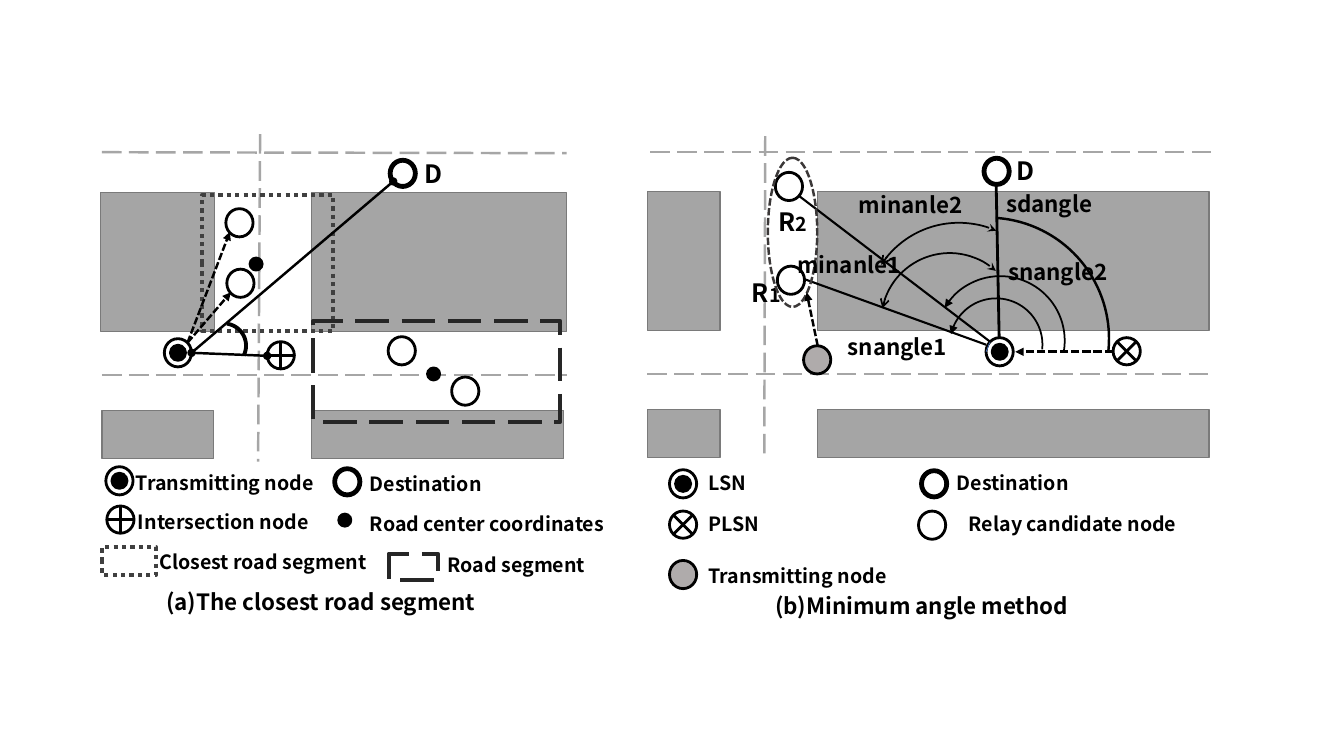
from pptx import Presentation
from pptx.dml.color import RGBColor
from pptx.enum.dml import MSO_LINE
from pptx.enum.shapes import MSO_CONNECTOR, MSO_SHAPE
from pptx.enum.text import MSO_AUTO_SIZE
from pptx.oxml.ns import qn
from pptx.util import Cm, Pt
from lxml import etree

RECT = MSO_SHAPE.RECTANGLE
OVAL = MSO_SHAPE.OVAL
ARC = MSO_SHAPE.ARC
PLUS = MSO_SHAPE.FLOWCHART_OR
CROSS = MSO_SHAPE.FLOWCHART_SUMMING_JUNCTION
LINE = MSO_CONNECTOR.STRAIGHT
LONG = MSO_LINE.LONG_DASH
SHORT = MSO_LINE.SQUARE_DOT
DOTS = MSO_LINE.ROUND_DOT
FIT = MSO_AUTO_SIZE.SHAPE_TO_FIT_TEXT

FONT = "Noto Sans CJK JP"
BLACK, WHITE, GREY = "000000", "FFFFFF", "AFABAB"
WIDE, HIGH = 0.27, 0.28


def inch(value):
    return Cm(value * 2.54)


def paint(code):
    return RGBColor.from_string(code)


def stroke(item, color, width, dash=None, head=None, tail=None):
    item.line.color.rgb = paint(color)
    item.line.width = Pt(width)
    if dash:
        item.line.dash_style = dash
    ln = item.element.spPr.find(qn("a:ln"))
    for tag, kind in (("a:headEnd", head), ("a:tailEnd", tail)):
        if kind:
            etree.SubElement(ln, qn(tag)).set("type", kind)


def shape(slide, kind, box, fill=None, color=BLACK, width=2, turn=0, **ends):
    item = slide.shapes.add_shape(kind, *map(inch, box))
    item.shadow.inherit = False
    item.rotation = turn
    if fill:
        item.fill.solid()
        item.fill.fore_color.rgb = paint(fill)
    else:
        item.fill.background()
    stroke(item, color, width, **ends)
    return item


def line(slide, start, end, color=BLACK, width=1.75, **ends):
    item = slide.shapes.add_connector(LINE, *map(inch, start + end))
    stroke(item, color, width, **ends)
    etree.SubElement(item.element.spPr, qn("a:effectLst"))


def arc(slide, x, y, size, first, last, width=1.25, turn=0, **ends):
    item = shape(slide, ARC, (x, y, size, size), width=width, turn=turn, **ends)
    item.adjustments[0] = first
    item.adjustments[1] = last


def text(slide, x, y, w, h, *runs):
    frame = slide.shapes.add_textbox(*map(inch, (x, y, w, h))).text_frame
    frame.word_wrap = True
    frame.auto_size = FIT
    for words, size in runs:
        run = frame.paragraphs[0].add_run()
        run.text = words
        run.font.size = Pt(size)
        run.font.name = FONT
        run.font.bold = True
        run.font.color.rgb = paint(BLACK)


def ring(slide, x, y, fill=WHITE):
    shape(slide, OVAL, (x, y, WIDE, HIGH), fill)


def source(slide, x, y):
    ring(slide, x, y)
    shape(slide, OVAL, (x + 0.06, y + 0.065, 0.15, 0.15), BLACK)


def goal(slide, x, y):
    ring(slide, x, y, BLACK)
    shape(slide, OVAL, (x + 0.02, y + 0.02, 0.23, 0.24), WHITE)


def mark(slide, kind, x, y):
    shape(slide, kind, (x, y, WIDE, WIDE), WHITE)


def spot(slide, x, y):
    shape(slide, OVAL, (x, y, 0.12, 0.12), BLACK)


def streets(slide, blocks, lanes):
    for box in blocks:
        shape(slide, RECT, box, "A5A5A5", "7A7A7A", 1)
    for start, end in lanes:
        line(slide, start, end, "A6A6A6", dash=LONG)


def labels(slide, size, high, items):
    for words, x, y, w in items:
        text(slide, x, y, w, high, (words, size))


def closest(slide):
    streets(slide,
            [(3.09, 1.91, 2.53, 1.38), (1, 1.91, 1.13, 1.38),
             (3.09, 4.07, 2.5, 0.48), (1.01, 4.07, 1.11, 0.48)],
            [((1.01, 3.72), (5.62, 3.72)), ((1.01, 1.51), (5.62, 1.52)),
             ((2.58, 1.33), (2.56, 4.58))])
    for x, y in ((2.65, 3.39), (1.06, 5.02)):
        mark(slide, PLUS, x, y)
    for x, y in ((1.63, 3.36), (1.05, 4.63)):
        source(slide, x, y)
    for x, y in ((3.86, 1.58), (3.31, 4.64)):
        goal(slide, x, y)
    for x, y in ((2.24, 2.07), (2.25, 2.67), (3.85, 3.34), (4.48, 3.74)):
        ring(slide, x, y)
    for box in ((1.98, 1.96, 1.35, 1.3), (1.14, 5.3, 0.28, 0.53)):
        shape(slide, RECT, box, color="404040", width=3, turn=90, dash=DOTS)
    for x, y in ((4.24, 3.65), (2.48, 2.56), (3.36, 5.1)):
        spot(slide, x, y)
    for end in ((2.28, 2.3), (2.29, 2.9)):
        line(slide, (1.86, 3.4), end, dash=SHORT, tail="triangle")
    line(slide, (1.9, 3.5), (3.9, 1.8), tail="oval")
    line(slide, (1.9, 3.5), (2.65, 3.53), head="oval", tail="oval")
    arc(slide, 2, 3.21, 0.44, 124.79, 190.07, 2.75, 69.7)
    for box in ((3.83, 2.46, 1, 2.45), (3.97, 5.38, 0.26, 0.49)):
        shape(slide, RECT, box, color="262626", width=3, turn=90, dash=LONG)
    text(slide, 4.11, 1.52, 0.38, 0.41, ("D", 18))
    labels(slide, 14, 0.34, [
        ("Transmitting node", 1.25, 4.62, 2.49),
        ("Intersection node", 1.27, 5.01, 2.49),
        ("Closest road segment", 1.48, 5.41, 2.49),
        ("Destination", 3.57, 4.63, 1.42),
        ("Road center coordinates", 3.57, 5.03, 2.58),
        ("Road segment", 4.34, 5.44, 1.71)])
    labels(slide, 16, 0.38, [("(a)The closest road segment", 1.55, 5.79, 3.43)])


def angles(slide):
    streets(slide,
            [(8.11, 1.9, 3.88, 1.38), (6.42, 1.9, 0.72, 1.38),
             (8.11, 4.06, 3.88, 0.48), (6.42, 4.06, 0.72, 0.48)],
            [((6.42, 3.71), (11.99, 3.71)), ((6.45, 1.51), (12.02, 1.51)),
             ((7.59, 1.35), (7.58, 4.57))])
    for x, y in ((7.71, 2.64), (7.69, 1.71), (9.11, 5.07)):
        ring(slide, x, y)
    for x, y in ((11.04, 3.35), (6.64, 5.07)):
        mark(slide, CROSS, x, y)
    for x, y in ((9.75, 1.56), (9.13, 4.66)):
        goal(slide, x, y)
    for x, y in ((9.78, 3.35), (6.64, 4.66)):
        source(slide, x, y)
    line(slide, (11.04, 3.49), (10.07, 3.49), width=2, dash=SHORT, tail="triangle")
    line(slide, (9.82, 3.39), (9.78, 3.49), "4472C4", 0.5)
    line(slide, (9.78, 3.42), (7.98, 2.77), width=1.5)
    line(slide, (9.82, 3.39), (7.92, 1.94), width=1.5)
    line(slide, (9.91, 3.35), (9.88, 1.82), width=2)
    text(slide, 9.98, 1.49, 0.38, 0.41, ("D", 18))
    text(slide, 7.36, 2.7, 0.64, 0.41, ("R", 18), ("1", 14))
    text(slide, 7.62, 2, 0.83, 0.41, ("R", 18), ("2", 14))
    arc(slide, 9.28, 2.74, 1.28, 124.79, 3.3, turn=2.7, head="triangle")
    arc(slide, 9.42, 2.96, 0.92, 120.29, 7.89, turn=352.6, head="triangle")
    arc(slide, 8.6, 2.16, 2.4, 164.23, 3.3, 1.75)
    both = {"head": "arrow", "tail": "stealth"}
    arc(slide, 8.59, 2.21, 1.84, 176.45, 8.83, turn=279.1, **both)
    arc(slide, 8.74, 2.51, 1.36, 156.4, 13.02, turn=290.6, **both)
    for x, y in ((6.64, 5.56), (7.97, 3.43)):
        ring(slide, x, y, GREY)
    shape(slide, OVAL, (7.12, 2.06, 1.48, 0.49), color="3B3838",
          width=1.75, turn=90, dash=SHORT)
    line(slide, (8.11, 3.43), (8, 2.9), dash=SHORT, tail="triangle")
    labels(slide, 14, 0.34, [
        ("LSN", 6.93, 4.62, 2.19),
        ("PLSN", 6.93, 5.03, 2.19),
        ("Transmitting node", 6.93, 5.55, 2.19),
        ("Destination", 9.39, 4.62, 2.19),
        ("Relay candidate node", 9.51, 5.03, 2.3)])
    labels(slide, 16, 0.38, [
        ("sdangle", 9.88, 1.84, 1.08),
        ("snangle1", 8.31, 3.26, 1.24),
        ("snangle2", 9.9, 2.51, 1.24),
        ("minanle2", 8.42, 1.85, 1.29),
        ("minanle1", 7.81, 2.44, 1.29),
        ("(b)Minimum angle method", 7.59, 5.83, 3.84)])


def main():
    deck = Presentation()
    deck.slide_width = inch(13.33)
    deck.slide_height = inch(7.5)
    slide = deck.slides.add_slide(deck.slide_layouts[6])
    angles(slide)
    closest(slide)
    deck.save("out.pptx")


if __name__ == "__main__":
    main()
